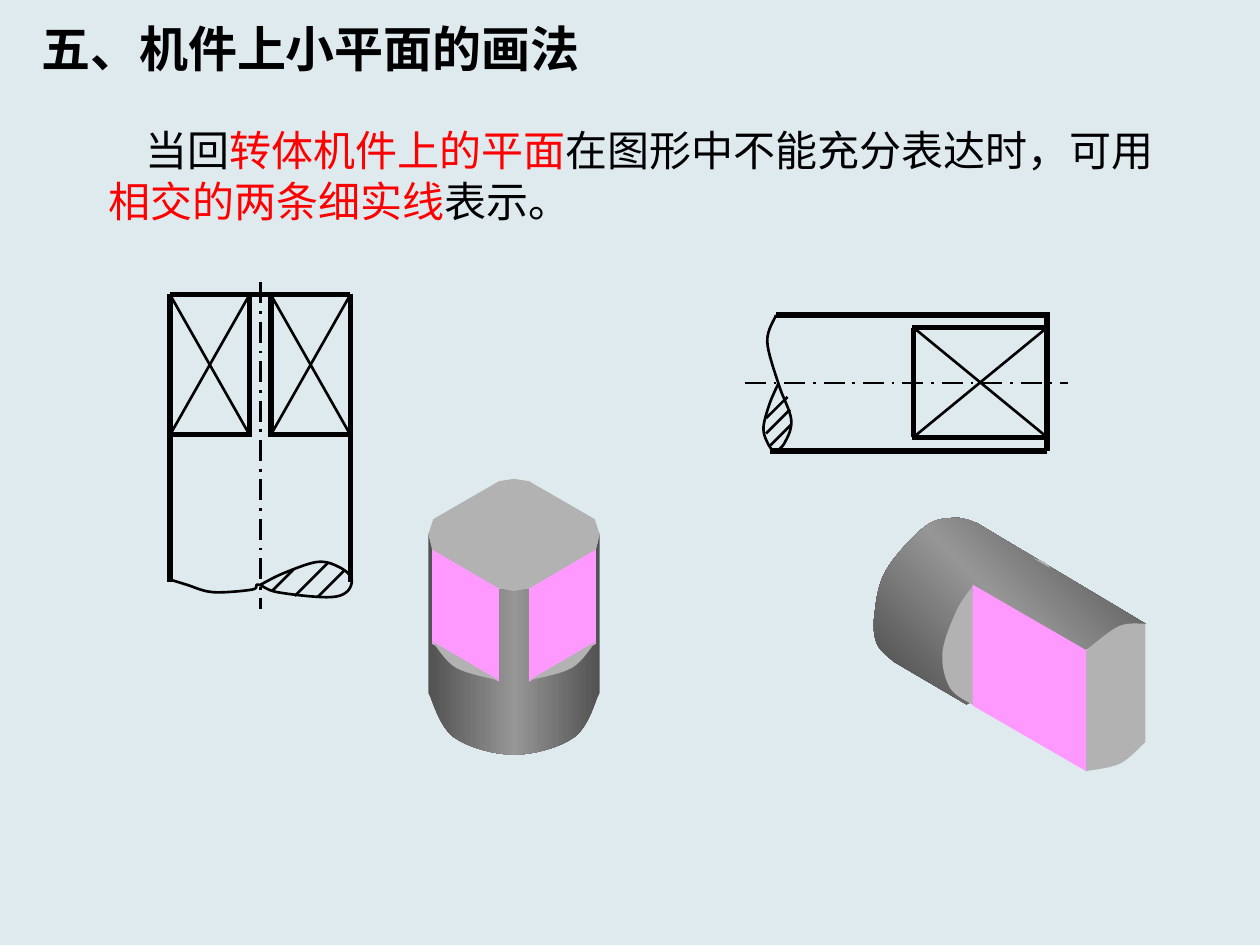
from copy import deepcopy
from lxml.etree import SubElement
from pptx import Presentation
from pptx.dml.color import RGBColor
from pptx.enum.dml import MSO_LINE
from pptx.enum.shapes import MSO_CONNECTOR
from pptx.enum.text import MSO_ANCHOR
from pptx.oxml.ns import qn
from pptx.util import Pt

PX = 9144
FONT = "Noto Sans CJK SC"
COLORS = {
    "background": "DEEAEE", "black": "000000", "red": "FF0000", "pink": "FF99FF",
    "gray": "B2B2B2", "highlight": "969696",
    "upright shade": "525252", "lying shade": "454545",
}
THICK, THIN = 3, 1.5
CURVE_STEPS = 8
SHAFT_MIRROR, SOLID_MIRROR = 413, 816

TEXTS = [
    {"box": (23, 5, 516, 57), "size": 28, "bold": True, "anchor": MSO_ANCHOR.TOP,
     "margins": (10, 0), "indent": 0, "spacing": 33.6,
     "runs": [("五、机件上小平面的画法", "black")]},
    {"box": (76, 90, 877, 90), "size": 24, "bold": False, "anchor": MSO_ANCHOR.MIDDLE,
     "margins": (9, 1), "indent": 30, "spacing": 29,
     "runs": [("当回", "black"), ("转体机件上的平面", "red"),
              ("在图形中不能充分表达时，可用", "black"),
              ("相交的两条细实线", "red"), ("表示。", "black")]},
]


def mirror(points, total):
    return [(total - x, y) for x, y in points]


def smooth(points):
    padded = [points[0], *points, points[-1]]
    curve = [points[0]]
    for before, start, end, after in zip(padded, padded[1:], padded[2:], padded[3:]):
        for step in range(1, CURVE_STEPS + 1):
            t = step / CURVE_STEPS
            curve.append(tuple(
                b + (c - a) * t / 2 + (2 * a - 5 * b + 4 * c - d) * t ** 2 / 2
                + (3 * b - a - 3 * c + d) * t ** 3 / 2
                for a, b, c, d in zip(before, start, end, after)))
    return curve


SHAFT_EDGES = [[(135, 233), (135, 462)], [(198, 236), (198, 347)], [(199, 345), (136, 345)]]
SHAFT_FLAT = [(135, 234), (198, 345)]

DRAWINGS = [
    {"axis": [(207, 224), (207, 483)],
     "outline": [*SHAFT_EDGES, *(mirror(edge, SHAFT_MIRROR) for edge in SHAFT_EDGES),
                 [(135, 234), (278, 234)]],
     "flats": [SHAFT_FLAT, mirror(SHAFT_FLAT, SHAFT_MIRROR)],
     "hatching": [(216, 469, 17), (234, 473, 26), (252, 474, 21)],
     "break": [(135, 460), (148, 464), (169, 470), (200, 468), (205, 464), (220, 470),
               (259, 474), (275, 470), (279, 459), (269, 450), (252, 446), (225, 455),
               (207, 464)]},
    {"axis": [(591, 304), (848, 304)],
     "outline": [[(831, 248), (831, 358)], [(831, 250), (616, 250)],
                 [(831, 358), (611, 358)], [(831, 260), (724, 260)],
                 [(831, 347), (724, 347)], [(725, 260), (725, 347)]],
     "flats": [[(725, 260), (831, 347)]],
     "hatching": [(608, 332, 17), (608, 344, 19), (611, 354, 17)],
     "break": [(616, 250), (609, 271), (618, 305), (628, 333), (623, 351), (615, 358),
               (609, 351), (606, 339), (611, 320), (618, 304)]},
]

LEDGE = smooth([(343, 509), (362, 530), (396, 540)])
UPRIGHT_FLAT = [(343, 435), (396, 466), (396, 541), (343, 511)]
TOP_HALF = [(408, 380), (420, 382), (472, 412), (476, 424), (473, 436), (420, 467), (408, 469)]

SOLIDS = [
    [("upright shade", 0,
      smooth([(476, 550), (456, 585), (408, 599), (360, 585), (340, 550)])
      + [(340, 423), (344, 440), (396, 468), (419, 468), (473, 437), (476, 423)]),
     ("pink", None, mirror(UPRIGHT_FLAT, SOLID_MIRROR)),
     ("pink", None, UPRIGHT_FLAT),
     ("gray", None, LEDGE),
     ("gray", None, mirror(LEDGE, SOLID_MIRROR)),
     ("gray", None, TOP_HALF + mirror(TOP_HALF[-2:0:-1], SOLID_MIRROR))],
    [("lying shade", 45,
      [(862, 515), (909, 495)]
      + smooth([(775, 415), (758, 411), (734, 418), (703, 453), (694, 488), (696, 511),
                (709, 525)])
      + [(767, 559)]),
     ("gray", None, smooth([(772, 465), (759, 485), (748, 518), (754, 546), (773, 560)])),
     ("gray", None, smooth([(862, 612), (889, 606), (909, 589)])
      + smooth([(909, 495), (888, 497), (862, 516)])),
     ("pink", None, [(862, 516), (862, 612), (772, 560), (772, 464)]),
     ("gray", None, [(820, 443), (834, 451), (829, 446)])],
]


def color(name):
    return RGBColor.from_string(COLORS[name])


def add_line(group, start, end, width, dash=None):
    line = group.shapes.add_connector(
        MSO_CONNECTOR.STRAIGHT, *(length * PX for length in (*start, *end)))
    line.line.color.rgb = color("black")
    line.line.width = Pt(width)
    if dash:
        line.line.dash_style = dash
    SubElement(line._element.spPr, qn("a:effectLst"))


def add_outline(group, points, close):
    scaled = [(round(x * PX), round(y * PX)) for x, y in points]
    builder = group.shapes.build_freeform(*scaled[0])
    builder.add_line_segments(scaled[1:], close=close)
    shape = builder.convert_to_shape()
    shape.shadow.inherit = False
    return shape


def add_break(group, points):
    shape = add_outline(group, smooth(points), False)
    shape.fill.background()
    shape.line.color.rgb = color("black")
    shape.line.width = Pt(THIN)


def add_face(group, fill, angle, points):
    shape = add_outline(group, points, True)
    shape.line.fill.background()
    if angle is None:
        shape.fill.solid()
        shape.fill.fore_color.rgb = color(fill)
        return
    shape.fill.gradient()
    shape.fill.gradient_angle = angle
    stop_list = shape._element.xpath(".//a:gsLst")[0]
    stop_list.insert(1, deepcopy(stop_list[0]))
    shades = (fill, "highlight", fill)
    for stop, shade, position in zip(shape.fill.gradient_stops, shades, (0, 0.5, 1)):
        stop.color.rgb = color(shade)
        stop.position = position


def add_text(slide, box, size, bold, anchor, margins, indent, spacing, runs):
    frame = slide.shapes.add_textbox(*(length * PX for length in box)).text_frame
    frame.word_wrap = True
    frame.vertical_anchor = anchor
    frame.margin_top, frame.margin_bottom = (margin * PX for margin in margins)
    paragraph = frame.paragraphs[0]
    paragraph.line_spacing = Pt(spacing)
    paragraph._p.get_or_add_pPr().set("indent", str(indent * PX))
    paragraph.font.size = Pt(size)
    paragraph.font.bold = bold
    paragraph.font.name = FONT
    SubElement(paragraph._p.xpath(".//a:defRPr")[0], qn("a:ea"), typeface=FONT)
    for text, shade in runs:
        run = paragraph.add_run()
        run.text = text
        run.font.color.rgb = color(shade)


def main():
    presentation = Presentation()
    presentation.slide_width, presentation.slide_height = 1000 * PX, 750 * PX
    slide = presentation.slides.add_slide(presentation.slide_layouts[6])
    slide.background.fill.solid()
    slide.background.fill.fore_color.rgb = color("background")
    for drawing in DRAWINGS:
        group = slide.shapes.add_group_shape()
        add_line(group, *drawing["axis"], THIN, MSO_LINE.LONG_DASH_DOT)
        for edge in drawing["outline"]:
            add_line(group, *edge, THICK)
        for (left, top), (right, bottom) in drawing["flats"]:
            add_line(group, (left, top), (right, bottom), THIN)
            add_line(group, (right, top), (left, bottom), THIN)
        add_break(group, drawing["break"])
        for x, y, reach in drawing["hatching"]:
            add_line(group, (x, y), (x + reach, y - reach), THIN)
    for text in TEXTS:
        add_text(slide, **text)
    for faces in SOLIDS:
        group = slide.shapes.add_group_shape()
        for face in faces:
            add_face(group, *face)
    presentation.save("out.pptx")


if __name__ == "__main__":
    main()
